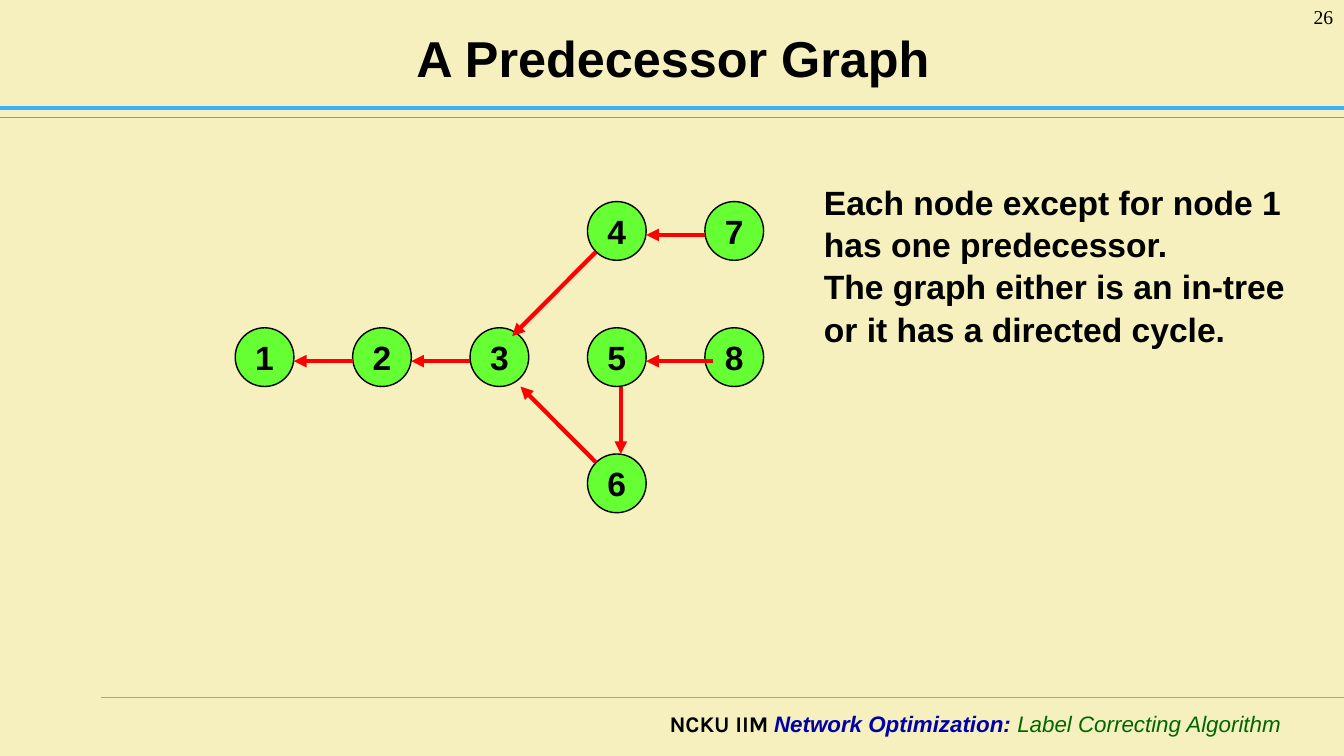
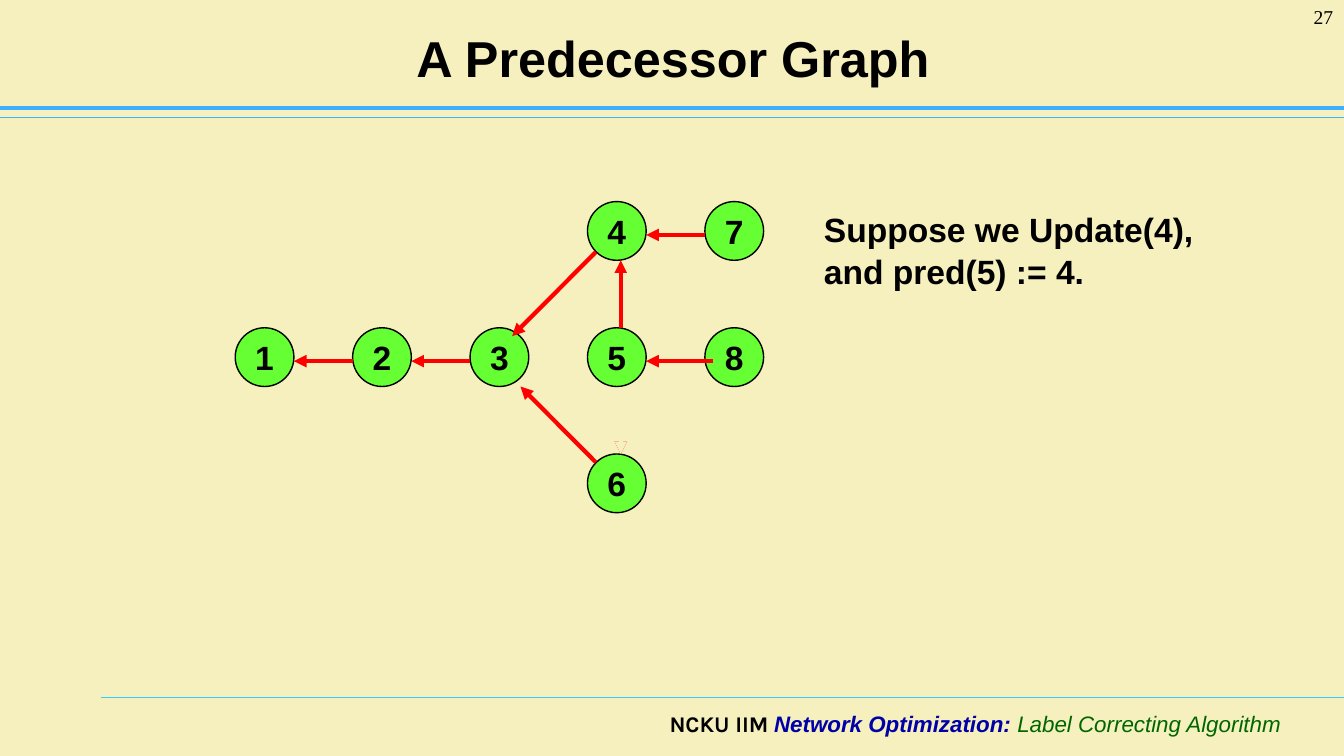
from typing import NamedTuple

from lxml.etree import SubElement
from pptx import Presentation
from pptx.dml.color import RGBColor
from pptx.enum.shapes import MSO_CONNECTOR, MSO_SHAPE
from pptx.enum.text import MSO_ANCHOR, PP_ALIGN
from pptx.oxml.ns import qn
from pptx.slide import Slide
from pptx.text.text import TextFrame
from pptx.util import Cm, Pt

SLIDE_WIDTH, SLIDE_HEIGHT = 33.88, 19.05
PAPER, INK, RED, GREEN = "F5F0BD", "000000", "FF0000", "66FF33"
BAND, FOOTER_RULE = "3DB0FF", "33CCFF"
NAVY, FOREST = "0000A8", "006600"

# Node grid, in centimetres
GRID_LEFT, GRID_TOP = 5.93, 5.08
COLUMN_STEP, ROW_STEP = 2.96, 3.18
DIAMETER = 1.48
NODE_CELLS = {
    "1": (0, 1), "2": (1, 1), "3": (2, 1), "4": (3, 0),
    "7": (4, 0), "6": (3, 2), "5": (3, 1), "8": (4, 1),
}

# Arrow ends, measured from the top left corner of a node
LEFT, RIGHT = (0, 0.84), (DIAMETER, 0.84)
TOP, BOTTOM = (0.84, 0), (0.84, DIAMETER)


class Run(NamedTuple):
    text: str
    size: float
    color: str = INK
    font: str = "Arial"
    bold: bool = True
    italic: bool = False


class Box(NamedTuple):
    left: float
    top: float
    width: float
    height: float


class Arc(NamedTuple):
    node: str
    predecessor: str
    start: tuple[float, float] = LEFT
    end: tuple[float, float] = RIGHT
    color: str = RED


class GraphSlide(NamedTuple):
    number: int
    remark_box: Box
    remark: list[str]
    extra_arcs: list[Arc]


TITLE = Run("A Predecessor Graph", 36)
FOOTER = [
    Run("NCKU IIM ", 16, font="Karla"),
    Run("Network Optimization:", 16, NAVY, italic=True),
    Run(" Label Correcting Algorithm", 16, FOREST, bold=False, italic=True),
]
ARCS = [
    Arc("2", "1"),
    Arc("3", "2"),
    Arc("8", "5", start=(0.21, 0.84)),
    Arc("5", "6", BOTTOM, TOP),
    Arc("6", "3", (0.21, 0.21), (1.27, DIAMETER)),
    Arc("4", "3", (0.21, 1.27), (1.06, 0.21)),
    Arc("7", "4"),
]
GRAPH_SLIDES = [
    GraphSlide(
        26, Box(20.52, 4.4, 12.9, 4.32),
        ["Each node except for node 1 has one predecessor.",
         "The graph either is an in-tree or it has a directed cycle."],
        [],
    ),
    GraphSlide(
        27, Box(20.52, 5.08, 10.52, 2.29),
        ["Suppose we Update(4), and pred(5) := 4."],
        [Arc("5", "6", BOTTOM, TOP, PAPER), Arc("5", "4", TOP, BOTTOM)],
    ),
]


def rgb(color: str) -> RGBColor:
    return RGBColor.from_string(color)


def write_runs(frame: TextFrame, runs: list[Run], align: PP_ALIGN,
               one_per_line: bool = False) -> None:
    paragraph = frame.paragraphs[0]
    paragraph.alignment = align
    for index, part in enumerate(runs):
        if one_per_line and index:
            paragraph.add_line_break()
        run = paragraph.add_run()
        run.text = part.text
        run.font.size = Pt(part.size)
        run.font.name = part.font
        run.font.bold = part.bold
        run.font.italic = part.italic
        run.font.color.rgb = rgb(part.color)


def add_text(slide: Slide, box: Box, runs: list[Run], align: PP_ALIGN,
             one_per_line: bool = False) -> TextFrame:
    frame = slide.shapes.add_textbox(*map(Cm, box)).text_frame
    frame.word_wrap = True
    write_runs(frame, runs, align, one_per_line)
    return frame


def add_line(slide: Slide, start: tuple[float, float], end: tuple[float, float],
             color: str, width: float, arrow: bool = False) -> None:
    line = slide.shapes.add_connector(
        MSO_CONNECTOR.STRAIGHT, *map(Cm, (*start, *end)))
    line.line.color.rgb = rgb(color)
    line.line.width = Pt(width)
    if arrow:
        SubElement(line.line._get_or_add_ln(), qn("a:tailEnd"), type="triangle")
    SubElement(line._element.spPr, qn("a:effectLst"))


def add_frame(slide: Slide, number: int) -> None:
    """Draw what every slide shares: background, rules, title, footer, number."""
    slide.background.fill.solid()
    slide.background.fill.fore_color.rgb = rgb(PAPER)
    for left, y, color, width in [
        (2.54, 17.58, FOOTER_RULE, 0.75),
        (0, 2.95, BAND, 0.75),
        (0, 2.72, BAND, 2.5),
    ]:
        add_line(slide, (left, y), (SLIDE_WIDTH, y), color, width)
    add_text(slide, Box(6.2, 17.78, 26.34, 1.27), FOOTER, PP_ALIGN.RIGHT)
    title = add_text(slide, Box(1.73, 0.33, 30.48, 2.21), [TITLE], PP_ALIGN.CENTER)
    title.vertical_anchor = MSO_ANCHOR.MIDDLE
    page = Run(str(number), 14, font="Times New Roman", bold=False)
    add_text(slide, Box(31.04, 0, 2.82, 1.27), [page], PP_ALIGN.RIGHT)


def node_corner(label: str) -> tuple[float, float]:
    column, row = NODE_CELLS[label]
    return GRID_LEFT + column * COLUMN_STEP, GRID_TOP + row * ROW_STEP


def add_node(slide: Slide, label: str) -> None:
    node = slide.shapes.add_shape(
        MSO_SHAPE.OVAL, *map(Cm, (*node_corner(label), DIAMETER, DIAMETER)))
    node.shadow.inherit = False
    node.fill.solid()
    node.fill.fore_color.rgb = rgb(GREEN)
    node.line.color.rgb = rgb(INK)
    node.line.width = Pt(1)
    node.text_frame.word_wrap = False
    node.text_frame.vertical_anchor = MSO_ANCHOR.MIDDLE
    write_runs(node.text_frame, [Run(label, 24)], PP_ALIGN.CENTER)


def add_arc(slide: Slide, arc: Arc) -> None:
    node_x, node_y = node_corner(arc.node)
    pred_x, pred_y = node_corner(arc.predecessor)
    add_line(slide,
             (node_x + arc.start[0], node_y + arc.start[1]),
             (pred_x + arc.end[0], pred_y + arc.end[1]),
             arc.color, 3, arrow=True)


def add_remark(slide: Slide, box: Box, lines: list[str]) -> None:
    runs = [Run(line, 24) for line in lines]
    remark = add_text(slide, box, runs, PP_ALIGN.LEFT, one_per_line=True)
    remark.paragraphs[0].line_spacing = 1.05


def main() -> None:
    deck = Presentation()
    deck.slide_width, deck.slide_height = Cm(SLIDE_WIDTH), Cm(SLIDE_HEIGHT)
    blank = deck.slide_layouts[6]
    for content in GRAPH_SLIDES:
        slide = deck.slides.add_slide(blank)
        add_frame(slide, content.number)
        add_remark(slide, content.remark_box, content.remark)
        for label in NODE_CELLS:
            add_node(slide, label)
        for arc in ARCS + content.extra_arcs:
            add_arc(slide, arc)
    deck.save("out.pptx")


if __name__ == "__main__":
    main()
